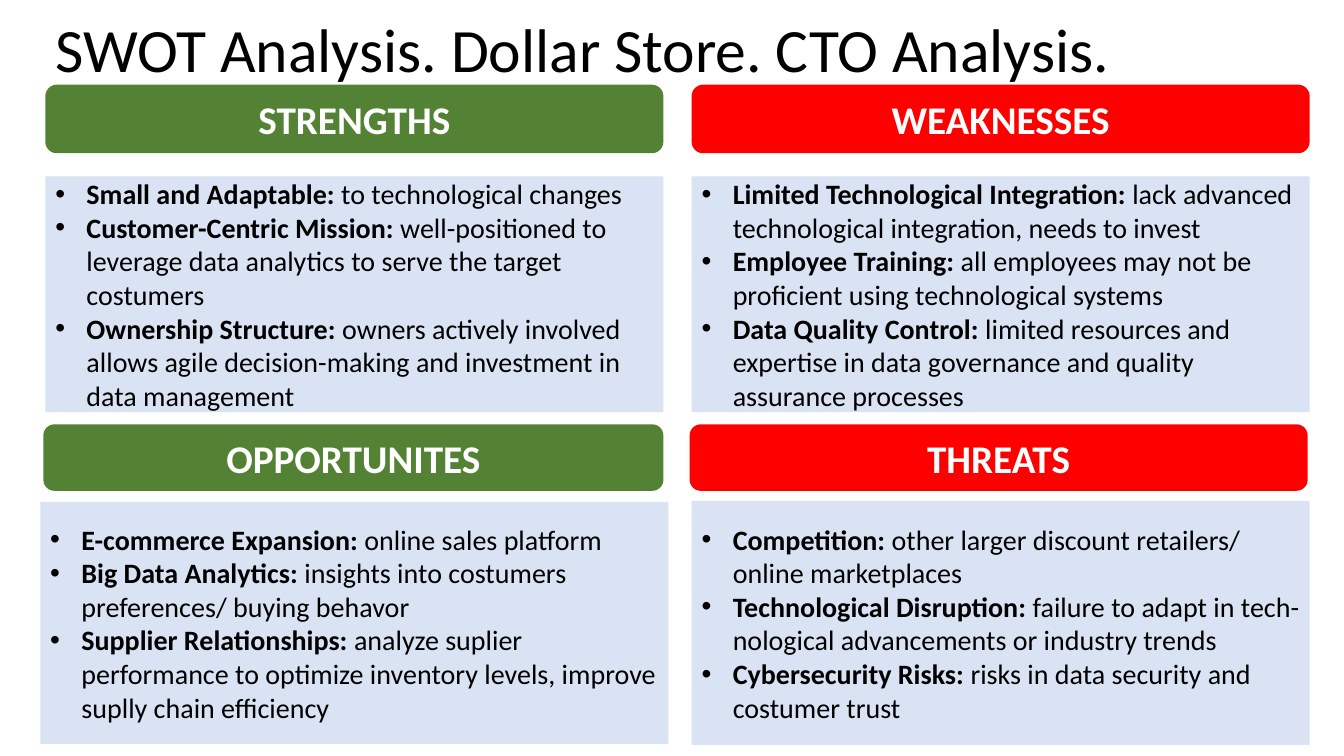
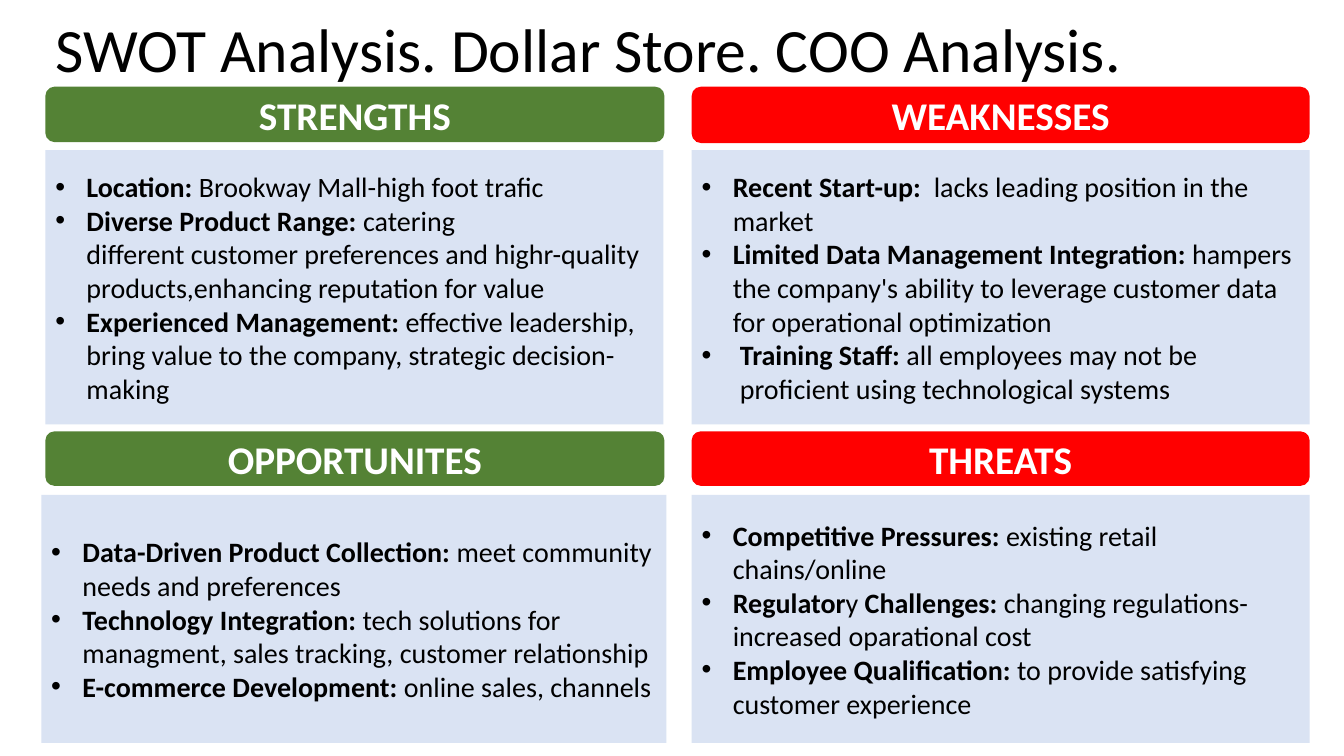
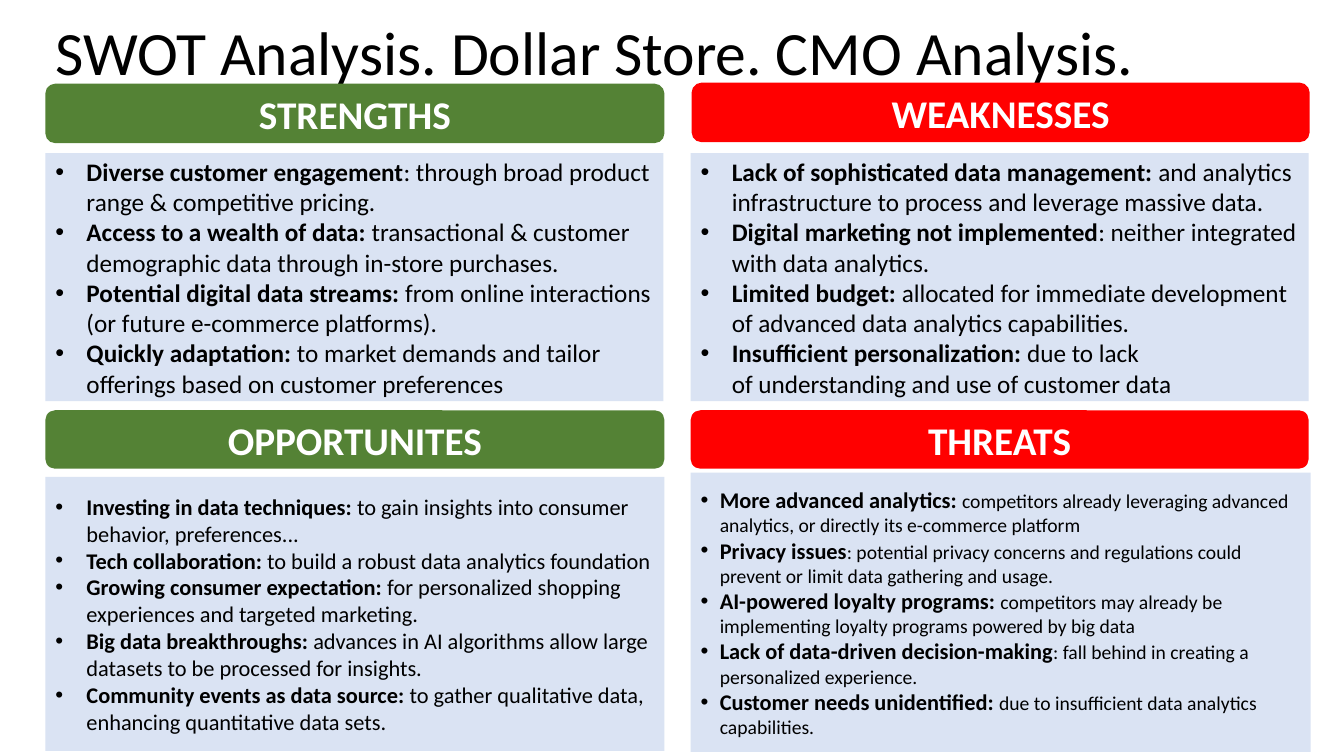
from lxml import etree
from pptx import Presentation
from pptx.dml.color import RGBColor
from pptx.enum.shapes import MSO_SHAPE
from pptx.enum.text import MSO_ANCHOR, PP_ALIGN
from pptx.oxml.ns import qn
from pptx.util import Inches, Pt

RECTANGLE = MSO_SHAPE.RECTANGLE
ROUNDED = MSO_SHAPE.ROUNDED_RECTANGLE
MIDDLE = MSO_ANCHOR.MIDDLE
LEFT, CENTER = PP_ALIGN.LEFT, PP_ALIGN.CENTER

# Shared style
FONT = "Calibri"
BLACK, WHITE = "000000", "FFFFFF"
GREEN, RED, PANEL = "548235", "FF0000", "DAE3F3"
TITLE_SIZE, BAND_SIZE = 44, 28
LEFT_X, RIGHT_X, COLUMN_WIDTH = 0.45, 6.86, 6.13
INDENT = 0.31
NBSP = chr(160)
QUADRANTS = [("STRENGTHS", GREEN), ("WEAKNESSES", RED),
             ("OPPORTUNITES", GREEN), ("THREATS", RED)]

# Each quadrant: band box, panel box, (lead size, detail size), items.
# In an item, "|" switches between bold and regular and "~" is a hard space.
SLIDES = [
    ("CTO", 0.8, [
        ((LEFT_X, 0.84, COLUMN_WIDTH, 0.68), (LEFT_X, 1.75, COLUMN_WIDTH, 2.34), (20, 20), [
            "Small and Adaptable:| to technological changes",
            "Customer-Centric Mission: |well-positioned to leverage data analytics "
            "to serve the target costumers",
            "Ownership Structure: |owners actively involved allows agile "
            "decision-making and investment in data management",
        ]),
        ((RIGHT_X, 0.84, COLUMN_WIDTH, 0.68), (RIGHT_X, 1.75, COLUMN_WIDTH, 2.34), (20, 20), [
            "Limited Technological Integration: |lack advanced technological "
            "integration, needs~to invest",
            "Employee Training: |all employees~may not be proficient using "
            "technological systems",
            "Data Quality Control:~|limited resources and expertise in data "
            "governance and quality assurance processes",
        ]),
        ((0.43, 4.21, 6.15, 0.66), (0.4, 4.98, 6.23, 2.4), (20, 20), [
            "E-commerce Expansion: |online sales platform",
            "Big Data Analytics: |insights into costumers preferences/ buying behavor",
            "Supplier Relationships: |analyze suplier performance to optimize "
            "inventory levels, improve suplly chain efficiency",
        ]),
        ((6.84, 4.21, COLUMN_WIDTH, 0.66), (RIGHT_X, 4.97, COLUMN_WIDTH, 2.42), (20, 20), [
            "Competition: |other larger discount retailers/ online marketplaces",
            "Technological~Disruption:~|failure~to~adapt~in~tech-nological~"
            "advancements~or~industry~trends~",
            "Cybersecurity Risks: |risks in data security and costumer trust",
        ]),
    ]),
    ("COO", 0.8, [
        ((LEFT_X, 0.86, 6.14, 0.55), (LEFT_X, 1.49, COLUMN_WIDTH, 2.72), (20, 20), [
            "Location: |Brookway Mall-high foot trafic",
            "Diverse~Product Range:| catering different~customer preferences and "
            "highr-quality products,enhancing reputation for value",
            "Experienced Management: |effective leadership, bring value to the "
            "company, strategic decision-making",
        ]),
        ((RIGHT_X, 0.86, COLUMN_WIDTH, 0.56), (RIGHT_X, 1.49, COLUMN_WIDTH, 2.72), (20, 20), [
            "Recent Start-up:~~|lacks leading position in the market",
            "Limited Data Management Integration: |hampers the company's ability "
            "to leverage customer data for~operational optimization",
            "Training~Staff:~|all~employees~may~not~be~ "
            "proficient~using~technological~systems",
        ]),
        ((LEFT_X, 4.28, 6.14, 0.54), (0.41, 4.91, 6.2, 2.46), (20, 20), [
            "Data-Driven Product Collection: |meet community needs and preferences",
            "Technology Integration: |tech solutions for managment, sales tracking, "
            "customer relationship",
            "E-commerce Development:| online sales, channels",
        ]),
        ((RIGHT_X, 4.28, COLUMN_WIDTH, 0.54), (RIGHT_X, 4.91, COLUMN_WIDTH, 2.46), (20, 20), [
            "Competitive Pressures: |existing retail chains/online~",
            "Regulator|y |Challenges: |changing regulations-increased oparational cost",
            "Employee Qualification: |to provide satisfying customer experience",
        ]),
    ]),
    ("CMO", 0.86, [
        ((LEFT_X, 0.83, 6.14, 0.59), (LEFT_X, 1.52, COLUMN_WIDTH, 2.46), (18, 18), [
            "Diverse customer engagement|: through broad product range & "
            "competitive pricing.",
            "Access to a wealth of data:| transactional & customer demographic "
            "data through in-store purchases.",
            "Potential digital data streams:|~from online interactions "
            "(or future e-commerce platforms).",
            "Quickly adaptation:| to market demands and tailor offerings based on "
            "customer preferences",
        ]),
        ((RIGHT_X, 0.82, COLUMN_WIDTH, 0.59), (6.85, 1.52, COLUMN_WIDTH, 2.46), (18, 18), [
            "Lack of sophisticated data management:| and analytics infrastructure "
            "to process and leverage massive data.",
            "Digital marketing not implemented|: neither~integrated with data analytics.",
            "Limited budget:| allocated for immediate development of advanced data "
            "analytics capabilities.",
            "Insufficient personalization:| due to lack of~understanding and use "
            "of customer data",
        ]),
        ((LEFT_X, 4.07, 6.14, 0.58), (LEFT_X, 4.73, 6.14, 2.72), (16, 16), [
            "Investing in data techniques: |to gain insights into consumer "
            "behavior, preferences...",
            "Tech collaboration: |to build a robust data analytics foundation",
            "Growing consumer expectation: |for personalized shopping experiences "
            "and targeted marketing.",
            "Big data breakthroughs: |advances in AI algorithms allow large "
            "datasets to be processed for insights.",
            "Community events as data source: |to gather qualitative data, "
            "enhancing quantitative data sets.",
        ]),
        ((6.85, 4.07, COLUMN_WIDTH, 0.58), (6.85, 4.69, 6.15, 2.77), (16, 14), [
            "More advanced analytics: |competitors already leveraging advanced "
            "analytics, or directly its e-commerce platform",
            "Privacy issues|: potential privacy concerns and regulations could "
            "prevent or limit data~gathering and usage.",
            "AI-powered loyalty programs: |competitors may already be implementing "
            "loyalty programs powered by big data",
            "Lack of data-driven decision-making|: fall behind in creating a "
            "personalized experience.",
            "Customer needs unidentified:~|due to insufficient data analytics "
            "capabilities.",
        ]),
    ]),
]
# Items and panels that do not use the common hanging indent
ITEM_INDENTS = {"Training~Staff:~": 0.38}
SMALL_DETAIL_INDENT = 0.19


def color(hex_string):
    return RGBColor.from_string(hex_string)


def add_box(slide, kind, box, fill):
    shape = slide.shapes.add_shape(kind, *[Inches(length) for length in box])
    shape.shadow.inherit = False
    shape.fill.solid()
    shape.fill.fore_color.rgb = color(fill)
    shape.line.fill.background()
    shape.text_frame.word_wrap = True
    shape.text_frame.vertical_anchor = MIDDLE
    return shape


presentation = Presentation()
presentation.slide_width = Inches(13.33)
presentation.slide_height = Inches(7.5)

for officer, title_height, quadrants in SLIDES:
    slide = presentation.slides.add_slide(presentation.slide_layouts[6])

    # Title
    title = slide.shapes.add_textbox(
        Inches(LEFT_X), Inches(0.12), Inches(11.5), Inches(title_height))
    title.text_frame.word_wrap = True
    title.text_frame.vertical_anchor = MIDDLE
    paragraph = title.text_frame.paragraphs[0]
    paragraph.text = f"SWOT Analysis. Dollar Store. {officer} Analysis."
    paragraph.line_spacing = 0.9
    paragraph.font.name = FONT
    paragraph.font.size = Pt(TITLE_SIZE)
    paragraph.font.color.rgb = color(BLACK)

    for (heading, fill), (band_box, panel_box, sizes, items) in zip(QUADRANTS, quadrants):
        # Heading band
        band = add_box(slide, ROUNDED, band_box, fill)
        paragraph = band.text_frame.paragraphs[0]
        paragraph.text = heading
        paragraph.alignment = CENTER
        paragraph.font.name = FONT
        paragraph.font.size = Pt(BAND_SIZE)
        paragraph.font.bold = True
        paragraph.font.color.rgb = color(WHITE)

        # Bulleted panel
        panel = add_box(slide, RECTANGLE, panel_box, PANEL)
        lead_size, detail_size = sizes
        panel_indent = INDENT if lead_size == detail_size else SMALL_DETAIL_INDENT
        for index, item in enumerate(items):
            frame = panel.text_frame
            paragraph = frame.add_paragraph() if index else frame.paragraphs[0]
            paragraph.alignment = LEFT
            paragraph.font.name = FONT
            paragraph.font.color.rgb = color(BLACK)
            parts = item.split("|")
            indent = Inches(ITEM_INDENTS.get(parts[0], panel_indent))
            properties = paragraph._p.get_or_add_pPr()
            properties.set("marL", str(indent))
            properties.set("indent", str(-indent))
            bullet_font = etree.Element(qn("a:buFont"), typeface="Arial")
            bullet = etree.Element(qn("a:buChar"), char="•")
            properties.insert(0, bullet_font)
            properties.insert(1, bullet)
            for position, part in enumerate(parts):
                is_lead = position % 2 == 0
                run = paragraph.add_run()
                run.text = part.replace("~", NBSP)
                run.font.bold = is_lead
                run.font.size = Pt(lead_size if is_lead else detail_size)

presentation.save("out.pptx")
